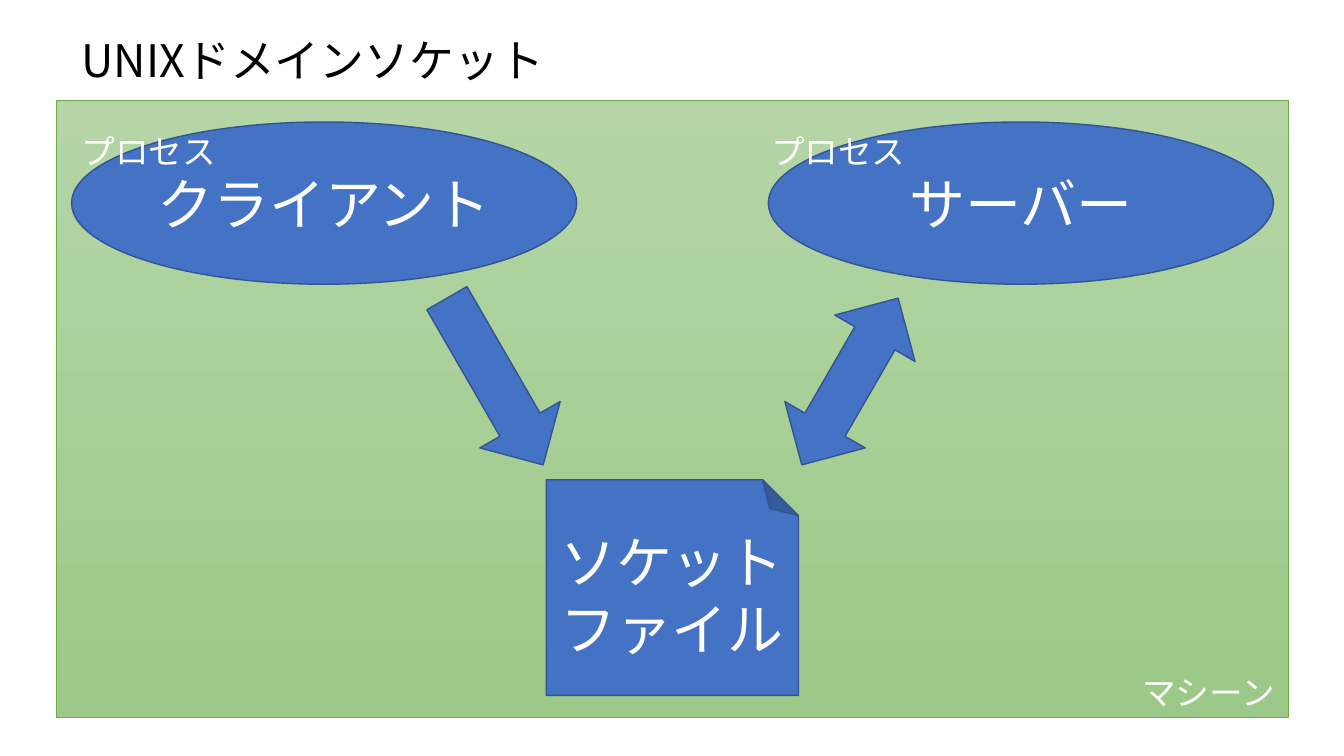
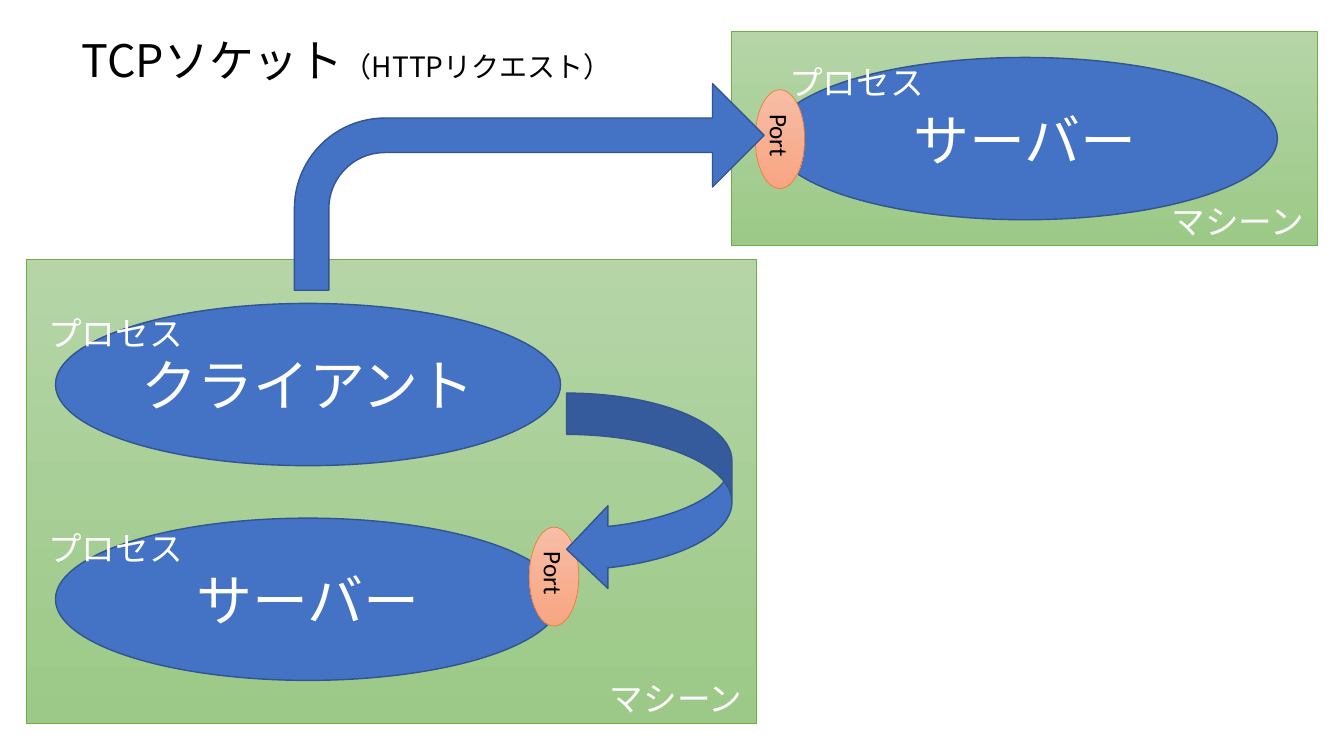
"""Build two slides comparing UNIX domain sockets with TCP sockets."""
from lxml import etree
from pptx import Presentation
from pptx.dml.color import RGBColor
from pptx.enum.shapes import MSO_SHAPE
from pptx.enum.text import MSO_ANCHOR, PP_ALIGN
from pptx.oxml.ns import qn
from pptx.util import Inches, Pt

RECTANGLE, OVAL = MSO_SHAPE.RECTANGLE, MSO_SHAPE.OVAL
FOLDED_CORNER = MSO_SHAPE.FOLDED_CORNER
DOWN_ARROW, UP_DOWN_ARROW = MSO_SHAPE.DOWN_ARROW, MSO_SHAPE.UP_DOWN_ARROW
CURVED_ARROW, BENT_ARROW = MSO_SHAPE.CURVED_LEFT_ARROW, MSO_SHAPE.BENT_ARROW
LEFT, CENTER = PP_ALIGN.LEFT, PP_ALIGN.CENTER
TOP, MIDDLE = MSO_ANCHOR.TOP, MSO_ANCHOR.MIDDLE

COLORS = {"black": "000000", "white": "FFFFFF"}
STYLES = {
    "machine": {"fill": ["B5D5A7", "9CC987"], "line": "70AD47", "width": 0.5},
    "process": {"fill": ["4472C4"], "line": "325491", "width": 1},
    "port": {"fill": ["F7BDA5", "F8A582"], "line": "ED7D31", "width": 0.5},
}
JAPANESE_FONT = "Noto Sans CJK JP"
TITLE_PLACE = (0.71, 0.27, 6.2, 0.64)
PROCESS_SIZE = (5.01, 1.61)
PORT_SIZE = (0.49, 0.98)
LABEL_SIZE = (1.55, 0.5)
ARROW_SIZE = (0.92, 1.91)


def add_styled_shape(page, kind, place, style_name):
    look = STYLES[style_name]
    shape = page.shapes.add_shape(kind, *map(Inches, place))
    shape.shadow.inherit = False
    if len(look["fill"]) == 1:
        shape.fill.solid()
        shape.fill.fore_color.rgb = RGBColor.from_string(look["fill"][0])
    else:
        shape.fill.gradient()
        shape.fill.gradient_angle = 270
        for stop, color in zip(shape.fill.gradient_stops, look["fill"]):
            stop.color.rgb = RGBColor.from_string(color)
    shape.line.color.rgb = RGBColor.from_string(look["line"])
    shape.line.width = Pt(look["width"])
    return shape


def write_text(box, text, size, color="white", align=CENTER, anchor=MIDDLE,
               wrap=True, font_name=JAPANESE_FONT):
    frame = box.text_frame
    frame.text = text
    frame.word_wrap = wrap
    frame.vertical_anchor = anchor
    for paragraph in frame.paragraphs:
        paragraph.alignment = align
        font = paragraph.font
        font.size = Pt(size)
        font.name = font_name
        font.color.rgb = RGBColor.from_string(COLORS[color])
        east_asian = etree.Element(qn("a:ea"), typeface=font_name)
        font._rPr.find(qn("a:latin")).addnext(east_asian)


slides = [
    {
        "title": "UNIXドメインソケット", "subtitle": "",
        "machines": [(0.56, 1, 12.22, 6.12)],
        "processes": [
            ("クライアント", (0.71, 1.21), (0.71, 1.25)),
            ("サーバー", (7.62, 1.21), (7.55, 1.25)),
        ],
        "ports": [],
        "files": [(5.42, 4.76, 2.5, 2.14)],
        "arrows": [
            (UP_DOWN_ARROW, (7.97, 2.83, *ARROW_SIZE), 30, []),
            (DOWN_ARROW, (4.45, 2.83, *ARROW_SIZE), 330, []),
        ],
    },
    {
        "title": "TCPソケット", "subtitle": "（HTTPリクエスト）",
        "machines": [(0.26, 2.57, 7.24, 4.61), (7.25, 0.31, 5.82, 2.13)],
        "processes": [
            ("クライアント", (0.55, 3.01), (0.38, 3.06)),
            ("サーバー", (0.55, 5.14), (0.38, 5.19)),
            ("サーバー", (7.66, 0.57), (7.73, 0.57)),
        ],
        "ports": [(5.25, 5.23), (7.49, 0.89)],
        "files": [],
        "arrows": [
            (CURVED_ARROW, (5.62, 3.9, 1.64, 1.96), 0, []),
            (BENT_ARROW, (2.92, 0.83, 4.66, 2.05), 0, [0.167, 0.25, 0.25, 0.438]),
        ],
    },
]

deck = Presentation()
deck.slide_width, deck.slide_height = Inches(13.33), Inches(7.5)

for content in slides:
    page = deck.slides.add_slide(deck.slide_layouts[5])
    title = page.shapes.title
    title.left, title.top, title.width, title.height = map(Inches, TITLE_PLACE)
    write_text(title, content["title"], 32, "black", LEFT, TOP)
    if content["subtitle"]:
        span = title.text_frame.paragraphs[0].add_run()
        span.text = content["subtitle"]
        span.font.size = Pt(20)

    labels = [("プロセス", corner) for _, _, corner in content["processes"]]
    for left, top, width, height in content["machines"]:
        add_styled_shape(page, RECTANGLE, (left, top, width, height), "machine")
        corner = (left + width - LABEL_SIZE[0], top + height - LABEL_SIZE[1])
        labels.append(("マシーン", corner))

    for name, corner, _ in content["processes"]:
        process = add_styled_shape(page, OVAL, (*corner, *PROCESS_SIZE), "process")
        write_text(process, name, 40)

    for corner in content["ports"]:
        port = add_styled_shape(page, OVAL, (*corner, *PORT_SIZE), "port")
        write_text(port, "Port", 18, "black", font_name="Calibri")
        port.text_frame._txBody.bodyPr.set("vert", "eaVert")

    for place in content["files"]:
        socket_file = add_styled_shape(page, FOLDED_CORNER, place, "process")
        socket_file._element.spPr.xfrm.set("flipV", "1")
        caption = page.shapes.add_textbox(*map(Inches, (5.41, 5.07, 2.51, 1.65)))
        write_text(caption, "ソケット\nファイル", 40)

    for kind, place, angle, adjustments in content["arrows"]:
        arrow = add_styled_shape(page, kind, place, "process")
        arrow.rotation = angle
        for index, value in enumerate(adjustments):
            arrow.adjustments[index] = value

    for text, corner in labels:
        label = page.shapes.add_textbox(*map(Inches, (*corner, *LABEL_SIZE)))
        write_text(label, text, 24, align=LEFT, anchor=TOP, wrap=False)

deck.save("out.pptx")
